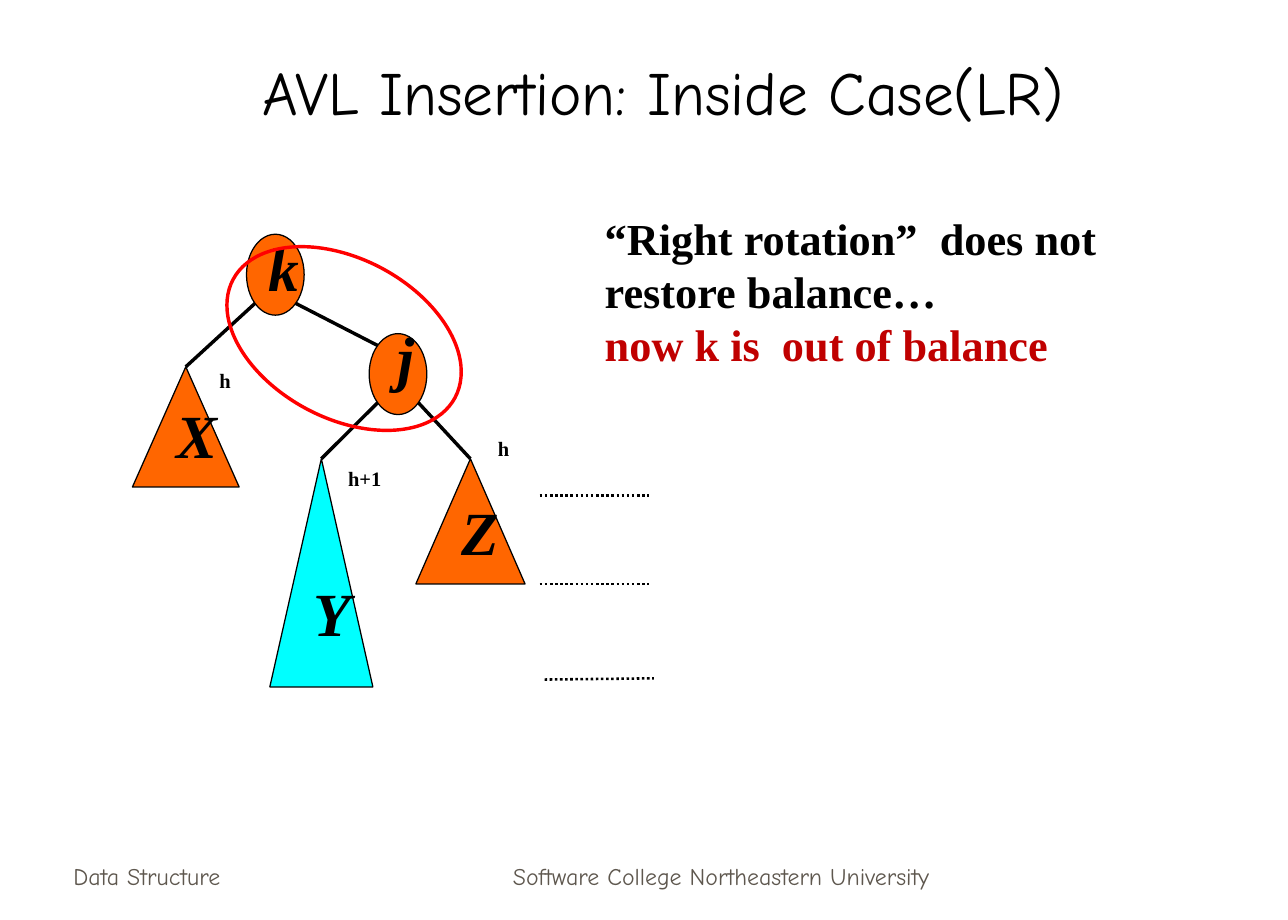
"""Build the slide on AVL insertion, inside case (LR)."""
from math import cos, pi, sin

from lxml.etree import SubElement
from pptx import Presentation
from pptx.dml.color import RGBColor
from pptx.enum.dml import MSO_LINE as Dash
from pptx.enum.shapes import MSO_CONNECTOR as Connector, MSO_SHAPE as Preset
from pptx.enum.text import MSO_ANCHOR as Anchor, MSO_AUTO_SIZE as AutoSize, PP_ALIGN as Align
from pptx.oxml.ns import qn
from pptx.util import Inches, Pt

COLORS = {"ink": "000000", "node": "FF6600", "grown": "00FFFF",
          "ring": "FF0000", "warning": "C00000", "footer": "5E574E"}
COLUMNS, ROWS = 105, 75
CELL = Inches(0.1)
NODE_SIZE = (4.7, 6.6)
LETTER_SIZE = (2.8, 7)
SANS, SERIF = "Comic Neue", "Times New Roman"


def color(name):
    """Look up a named colour."""
    return RGBColor.from_string(COLORS[name])


def cells(*lengths):
    """Turn grid cells into slide lengths."""
    return [round(length * CELL) for length in lengths]


def place(shape, *area):
    """Move a shape to an area given in grid cells."""
    shape.left, shape.top, shape.width, shape.height = cells(*area)


def style(para, font_name, size, ink="ink", bold=False, italic=False, align=Align.LEFT):
    """Format a paragraph and its runs."""
    para.alignment = align
    para.space_before = Pt(0)
    for span in para.runs:
        font = span.font
        font.name, font.size, font.bold, font.italic = font_name, Pt(size), bold, italic
        font.color.rgb = color(ink)


def add_title(page, text):
    """Fill the title placeholder."""
    title = page.shapes.title
    place(title, 9.2, 2.1, 89.7, 8.8)
    title.text_frame.text = text
    title.text_frame.vertical_anchor = Anchor.BOTTOM
    title.text_frame.auto_size = AutoSize.NONE
    style(title.text_frame.paragraphs[0], SANS, 36, align=Align.CENTER)


def add_remarks(page, remarks):
    """Fill the body placeholder with unbulleted coloured remarks."""
    body = page.placeholders[1]
    place(body, 48.3, 16.7, 46.7, 14)
    frame = body.text_frame
    frame.text = "\n".join(text for text, ink in remarks)
    frame.auto_size = AutoSize.NONE
    for para, (text, ink) in zip(frame.paragraphs, remarks):
        settings = para._p.get_or_add_pPr()
        settings.set("marL", "0")
        settings.set("indent", "0")
        SubElement(settings, qn("a:buNone"))
        style(para, SERIF, 26, ink, bold=True)


def add_text(page, area, text, *look, wrap=True, anchor=Anchor.TOP, **more):
    """Add a text box with one styled paragraph."""
    box = page.shapes.add_textbox(*cells(*area))
    frame = box.text_frame
    frame.word_wrap = wrap
    frame.vertical_anchor = anchor
    frame.text = text
    style(frame.paragraphs[0], *look, **more)


def add_figure(page, preset, area, fill=None, line="ink", width=0.75):
    """Add an outlined preset shape, filled if a colour is named."""
    figure = page.shapes.add_shape(preset, *cells(*area))
    figure.shadow.inherit = False
    if fill:
        figure.fill.solid()
        figure.fill.fore_color.rgb = color(fill)
    else:
        figure.fill.background()
    figure.line.color.rgb = color(line)
    figure.line.width = Pt(width)
    return figure


def add_line(page, start, end, width=2, dash=None):
    """Add a straight line between two grid points."""
    line = page.shapes.add_connector(Connector.STRAIGHT, *cells(*start, *end))
    SubElement(line._element.spPr, qn("a:effectLst"))
    line.line.color.rgb = color("ink")
    line.line.width = Pt(width)
    if dash:
        line.line.dash_style = dash


def joint(node, across, down):
    """Find the diagonal point on the rim of a node."""
    left, top = node
    width, height = NODE_SIZE
    return (left + width / 2 * (1 + across * cos(pi / 4)),
            top + height / 2 * (1 + down * sin(pi / 4)))


def apex(area):
    """Find the tip of a triangle."""
    left, top, width, height = area
    return left + width / 2, top


def add_tree(page):
    """Draw the nodes, subtrees, edges and letters."""
    nodes = {"j": (30.1, 27.2), "k": (20.1, 19.1)}
    subtrees = {"X": ((10.8, 29.9, 8.7, 9.8), "node"),
                "Y": ((22, 37.4, 8.4, 18.6), "grown"),
                "Z": ((33.9, 37.4, 8.9, 10.2), "node")}
    letters = {"j": (31.4, 25.5), "k": (20.9, 18.3), "X": (13.4, 31.9),
               "Y": (24.6, 46.4), "Z": (36.6, 39.8)}
    for corner in nodes.values():
        add_figure(page, Preset.OVAL, (*corner, *NODE_SIZE), "node")
    for area, fill in subtrees.values():
        add_figure(page, Preset.ISOSCELES_TRIANGLE, area, fill)
    add_line(page, joint(nodes["k"], 1, 1), joint(nodes["j"], -1, -1))
    for parent, side, child in (("k", -1, "X"), ("j", -1, "Y"), ("j", 1, "Z")):
        add_line(page, joint(nodes[parent], side, 1), apex(subtrees[child][0]))
    for letter, corner in letters.items():
        add_text(page, (*corner, *LETTER_SIZE), letter, SERIF, 36, bold=True, italic=True)


def add_heights(page):
    """Draw the level lines, the ring and the subtree heights."""
    for left, start, end in ((44, 40.4, 40.4), (44, 47.6, 47.6), (44.4, 55.4, 55.3)):
        add_line(page, (left, start), (left + 8.9, end), 1.5, Dash.ROUND_DOT)
    ring = add_figure(page, Preset.OVAL, (17.8, 21.1, 20.5, 13), line="ring", width=2)
    ring.rotation = 28
    for area, text in (((39.6, 35.1, 2.9, 3), "h"), ((27.4, 37.5, 4.7, 3), "h+1"),
                       ((16.9, 29.5, 2.9, 3), "h")):
        add_text(page, area, text, SERIF, 12, wrap=False, bold=True)


def main():
    """Build and save the deck."""
    deck = Presentation()
    deck.slide_width, deck.slide_height = cells(COLUMNS, ROWS)
    page = deck.slides.add_slide(deck.slide_layouts[1])
    for left, width, text, align in (
            (5, 21.9, "Data Structure", Align.LEFT),
            (35.9, 45.8, "Software College Northeastern University", Align.CENTER)):
        add_text(page, (left, 68.1, width, 5), text, SANS, 14, "footer",
                 anchor=Anchor.BOTTOM, align=align)
    add_remarks(page, [("“Right rotation”  does not restore balance…", "ink"),
                       ("now k is  out of balance", "warning")])
    add_title(page, "AVL Insertion: Inside Case(LR)")
    add_tree(page)
    add_heights(page)
    deck.save("out.pptx")


if __name__ == "__main__":
    main()
